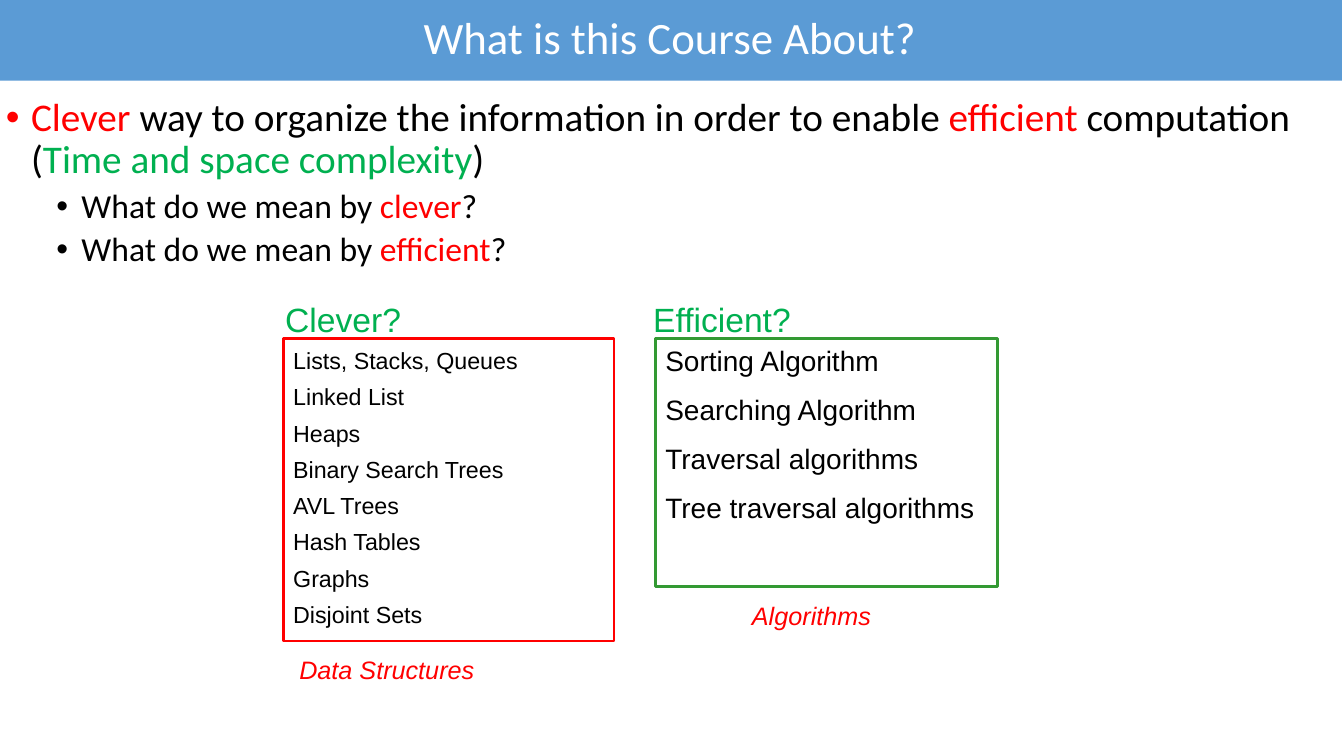
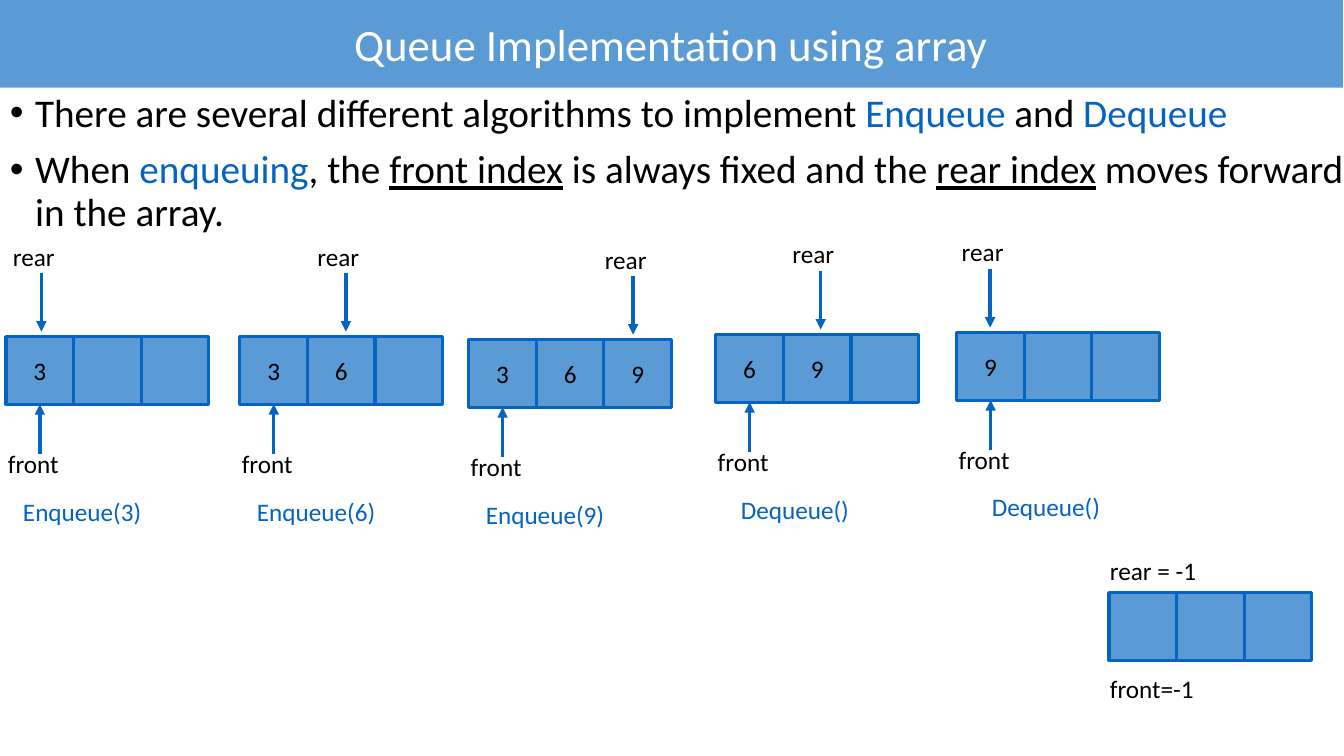
from lxml.etree import SubElement
from pptx import Presentation
from pptx.dml.color import RGBColor
from pptx.enum.shapes import MSO_CONNECTOR, MSO_SHAPE
from pptx.enum.text import MSO_ANCHOR, MSO_AUTO_SIZE, PP_ALIGN
from pptx.oxml.ns import qn
from pptx.util import Inches, Pt

HUES = {
    "band": "5B9BD5", "blue": "0563C1", "red": "FF0000", "green": "00B050",
    "frame": "339933", "black": "000000", "white": "FFFFFF",
}
CELL = 0.67
SLOTS = 3


def hue(name):
    return RGBColor.from_string(HUES[name])


def area(left, top, width, height):
    return [Inches(v) for v in (left, top, width, height)]


def add_run(para, text, size, color="black", font="Calibri", under=False, italic=False):
    run = para.add_run()
    run.text = text
    face = run.font
    face.name, face.size = font, Pt(size)
    face.color.rgb = hue(color)
    if under:
        face.underline = True
    if italic:
        face.italic = True


def add_title(slide, text, left, top):
    title = slide.shapes.title
    title.left, title.top, title.width, title.height = area(left, top, 13.33, 0.88)
    title.fill.solid()
    title.fill.fore_color.rgb = hue("band")
    frame = title.text_frame
    frame.auto_size = MSO_AUTO_SIZE.NONE
    frame.vertical_anchor = MSO_ANCHOR.MIDDLE
    para = frame.paragraphs[0]
    para.alignment = PP_ALIGN.CENTER
    add_run(para, text, 32, "white")


def add_label(slide, text, left, top, width=1.3, height=0.43, size=18, **style):
    box = slide.shapes.add_textbox(*area(left, top, width, height))
    box.text_frame.word_wrap = True
    add_run(box.text_frame.paragraphs[0], text, size, **style)


def add_bullets(slide, at, items):
    """Each item is a level and a list of runs: text, colour, underline."""
    frame = slide.shapes.add_textbox(*area(*at)).text_frame
    frame.word_wrap = True
    for i, (level, runs) in enumerate(items):
        para = frame.paragraphs[0] if i == 0 else frame.add_paragraph()
        para.level = level
        props = para._p.get_or_add_pPr()
        props.set("marL", str(Inches(0.25 + 0.5 * level)))
        props.set("indent", str(Inches(-0.25)))
        SubElement(props, qn("a:buFont")).set("typeface", "Arial")
        SubElement(props, qn("a:buChar")).set("char", "•")
        para.line_spacing = 0.9
        if i:
            para.space_before = Pt(5 if level else 10)
        for text, color, under in runs:
            add_run(para, text, 24 if level else 28, color, under=under)


def add_box(slide, at, line, width, fill=None):
    box = slide.shapes.add_shape(MSO_SHAPE.RECTANGLE, *area(*at))
    box.shadow.inherit = False
    if fill:
        box.fill.solid()
        box.fill.fore_color.rgb = hue(fill)
    else:
        box.fill.background()
    box.line.color.rgb = hue(line)
    box.line.width = Pt(width)
    return box


def add_list(slide, at, line, items, size, gap, pitch):
    frame = add_box(slide, at, line, 2).text_frame
    frame.word_wrap = True
    frame.vertical_anchor = MSO_ANCHOR.TOP
    for i, text in enumerate(items):
        para = frame.paragraphs[0] if i == 0 else frame.add_paragraph()
        para.alignment = PP_ALIGN.LEFT
        para.line_spacing = pitch
        if i:
            para.space_before = Pt(gap)
        add_run(para, text, size, font="Arial")


def add_arrow(slide, x, start, end):
    arrow = slide.shapes.add_connector(
        MSO_CONNECTOR.STRAIGHT, Inches(x), Inches(start), Inches(x), Inches(end))
    arrow.line.color.rgb = hue("blue")
    arrow.line.width = Pt(2.5)
    SubElement(arrow.line._get_or_add_ln(), qn("a:tailEnd")).set("type", "triangle")
    SubElement(arrow._element.spPr, qn("a:effectLst"))
    return arrow


def add_cells(slide, left, top, values=""):
    """Draw the array, one character of values per slot; return its cells."""
    cells = []
    for i, value in enumerate(values.ljust(SLOTS)):
        cell = add_box(slide, (left + i * CELL, top, CELL, CELL), "blue", 2.25, "band")
        if value.strip():
            para = cell.text_frame.paragraphs[0]
            para.alignment = PP_ALIGN.CENTER
            add_run(para, value, 18)
        cells.append(cell)
    return cells


def add_queue(slide, left, top, values, rear, call, indent):
    """Draw one state; rear is the left of its label, indent that of the call."""
    cells = add_cells(slide, left, top, values)
    add_label(slide, "rear", rear, top - 1, 1.08)
    add_arrow(slide, rear + 0.38, top - 0.63, top - 0.05)
    add_label(slide, "front", left - 0.08, top + 1.06, 1.08)
    front = add_arrow(slide, left + CELL / 2, top + 1.16, top + CELL)
    front.end_connect(cells[0], 2)
    add_label(slide, call, left + indent, top + 1.53, 1.93, color="blue")


def add_course(slide):
    add_title(slide, "What is this Course About?", -0.02, -0.08)
    asks = [(1, [("What do we mean by ", "black", False), (word, "red", False),
                 ("?", "black", False)]) for word in ("clever", "efficient")]
    add_bullets(slide, (-0.04, 0.92, 13.35, 1.9), [
        (0, [("Clever", "red", False),
             (" way to organize the information in order to enable ", "black", False),
             ("efficient", "red", False),
             (" computation (", "black", False),
             ("Time and space complexity", "green", False),
             (")", "black", False)]),
        *asks])
    for text, left in (("Clever?", 2.73), ("Efficient?", 6.38)):
        add_label(slide, text, left, 2.92, 2.5, 0.5, 24, color="green", font="Arial")
    add_list(slide, (2.81, 3.36, 3.28, 3), "red", [
        "Lists, Stacks, Queues", "Linked List", "Heaps", "Binary Search Trees",
        "AVL Trees", "Hash Tables", "Graphs", "Disjoint Sets"], 16.6, 4, 1.1)
    add_list(slide, (6.5, 3.36, 3.39, 2.46), "frame", [
        "Sorting Algorithm", "Searching Algorithm", "Traversal algorithms",
        "Tree traversal algorithms"], 20, 11, 1.0)
    for text, left, top in (("Data Structures", 2.87, 6.44), ("Algorithms", 7.36, 5.91)):
        add_label(slide, text, left, top, 2.1, 0.4, color="red", font="Arial", italic=True)


def add_array(slide):
    add_title(slide, "Queue Implementation using array", -0.01, -0.01)
    add_bullets(slide, (0, 0.88, 13.62, 1.5), [
        (0, [("There are several different algorithms to implement ", "black", False),
             ("Enqueue", "blue", False), (" and ", "black", False),
             ("Dequeue", "blue", False)]),
        (0, [("When ", "black", False), ("enqueuing", "blue", False),
             (", the ", "black", False), ("front index", "black", True),
             (" is always fixed and the ", "black", False),
             ("rear index", "black", True),
             (" moves forward in the array.", "black", False)])])
    for state in (
            (0.06, 3.34, "3", 0.03, "Enqueue(3)", 0.07),
            (2.38, 3.34, "36", 3.05, "Enqueue(6)", 0.07),
            (4.65, 3.37, "369", 5.9, "Enqueue(9)", 0.07),
            (7.1, 3.32, "69", 7.76, "Dequeue()", 0.15),
            (9.49, 3.3, "9", 9.44, "Dequeue()", 0.25)):
        add_queue(slide, *state)
    add_cells(slide, 11, 5.88)
    add_label(slide, "rear = -1", 10.91, 5.46)
    add_label(slide, "front=-1", 10.91, 6.63)


def main():
    deck = Presentation()
    deck.slide_width, deck.slide_height = Inches(13.33), Inches(7.5)
    for build in (add_course, add_array):
        build(deck.slides.add_slide(deck.slide_layouts[5]))
    deck.save("out.pptx")


if __name__ == "__main__":
    main()
